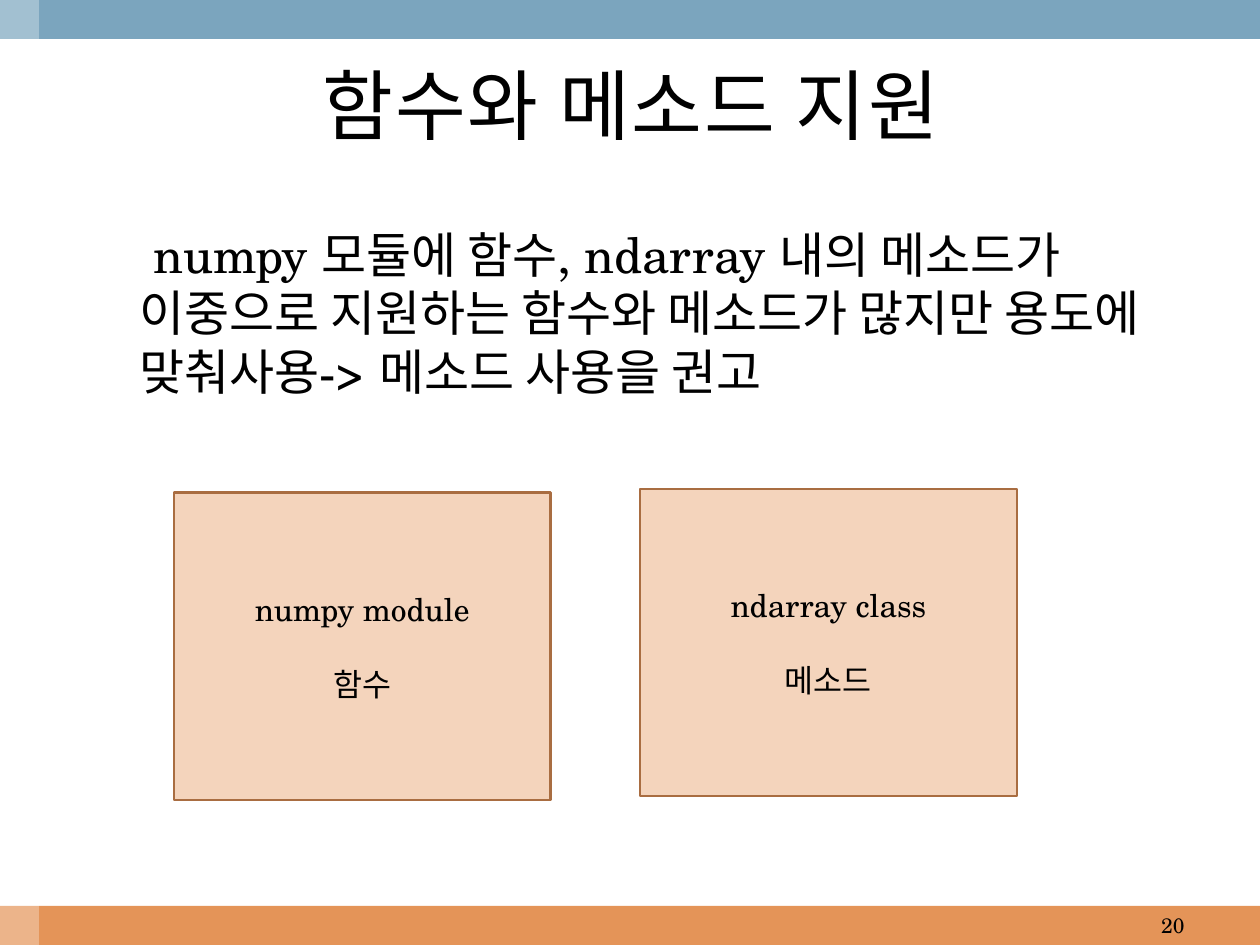
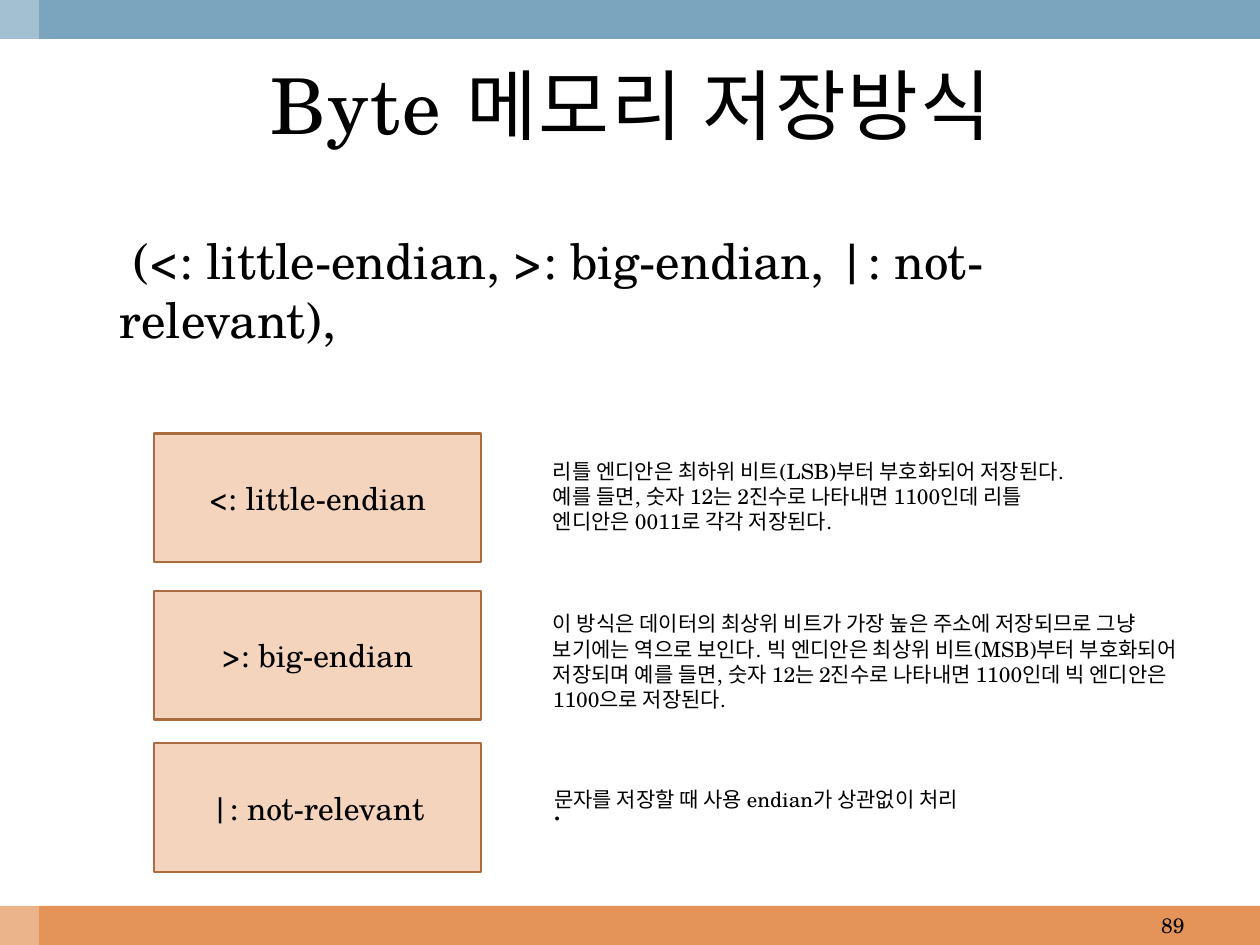
import pptx
import pptx.dml.color
import pptx.enum.shapes
import pptx.enum.text
import pptx.oxml.ns
import pptx.util
from lxml import etree
from pptx.util import Inches

FONT = "TeX Gyre Schola"
COLORS = {
    "text": "000000",
    "header": "7BA5BE",
    "footer": "E49458",
    "side": "FFFFFF",
    "box": "F4D4BC",
    "box_line": "A96D41",
}
SLIDE_W, SLIDE_H, BAND = 10, 7.5, 0.31
ALIGN = pptx.enum.text.PP_ALIGN
MIDDLE = pptx.enum.text.MSO_ANCHOR.MIDDLE


def rgb(name):
    return pptx.dml.color.RGBColor.from_string(COLORS[name])


def write(frame, lines, size, align=ALIGN.LEFT, gap=0):
    """Fill a text frame, one paragraph a line, with gap points between them."""
    frame.word_wrap = True
    for i, line in enumerate(lines):
        paragraph = frame.paragraphs[0] if i == 0 else frame.add_paragraph()
        paragraph.text = line
        paragraph.alignment = align
        if i:
            paragraph.space_before = pptx.util.Pt(gap)
        paragraph.font.name = FONT
        paragraph.font.size = pptx.util.Pt(size)
        paragraph.font.color.rgb = rgb("text")


def add_text(slide, box, text, size, align=ALIGN.LEFT, anchor=None):
    frame = slide.shapes.add_textbox(*map(Inches, box)).text_frame
    if anchor is not None:
        frame.vertical_anchor = anchor
    write(frame, [text], size, align)
    return frame.paragraphs[0]


def add_rect(slide, box, fill):
    rect = slide.shapes.add_shape(
        pptx.enum.shapes.MSO_SHAPE.RECTANGLE, *map(Inches, box))
    rect.shadow.inherit = False
    rect.fill.solid()
    rect.fill.fore_color.rgb = rgb(fill)
    rect.line.fill.background()
    return rect


def add_label_box(slide, box, *lines):
    rect = add_rect(slide, box, "box")
    rect.line.color.rgb = rgb("box_line")
    rect.line.width = pptx.util.Pt(1.25)
    rect.text_frame.vertical_anchor = MIDDLE
    write(rect.text_frame, lines, 18, ALIGN.CENTER, gap=21)


def add_base_slide(prs, title, number):
    """Add a slide with the shared bands, title and page number."""
    slide = prs.slides.add_slide(prs.slide_layouts[6])
    footer_top = SLIDE_H - BAND
    add_rect(slide, (0, footer_top, SLIDE_W, BAND), "footer")
    add_rect(slide, (0, 0, SLIDE_W, BAND), "header")
    side = add_rect(slide, (0, 0, BAND, SLIDE_H), "side")
    side_color = side.fill._xPr.find(".//" + pptx.oxml.ns.qn("a:srgbClr"))
    etree.SubElement(side_color, pptx.oxml.ns.qn("a:alpha"), val="30000")

    add_text(slide, (7.17, footer_top, 2.33, BAND), str(number), 12,
             ALIGN.RIGHT, MIDDLE)
    heading = add_text(slide, (0.33, BAND, 9.36, 1.03), title, 44,
                       ALIGN.CENTER, MIDDLE)
    heading.runs[0]._r.get_or_add_rPr().set("spc", "100")
    return slide


def add_lead(slide, box, text, margin):
    """Add the opening statement, its first line slightly indented."""
    properties = add_text(slide, box, text, 28)._p.get_or_add_pPr()
    properties.set("marL", str(Inches(margin)))
    properties.set("indent", str(Inches(0.11)))


def build_functions_slide(prs):
    slide = add_base_slide(prs, "함수와 메소드 지원", 20)
    add_lead(slide, (0.51, 1.73, 9, 1.47),
             "numpy 모듈에 함수, ndarray 내의 메소드가 이중으로 지원하는 "
             "함수와 메소드가 많지만 용도에 맞춰사용-> 메소드 사용을 권고", 0.5)
    add_label_box(slide, (1.38, 3.91, 2.99, 2.44), "numpy module", "함수")
    add_label_box(slide, (5.08, 3.88, 2.99, 2.44), "ndarray class", "메소드")


def build_byte_order_slide(prs):
    slide = add_base_slide(prs, "Byte 메모리 저장방식", 89)
    add_lead(slide, (0.5, 1.78, 9, 0.63),
             "(<: little-endian, >: big-endian, |: not-relevant),", 0.35)
    # label, box top, description, description box
    orders = [
        ("<: little-endian", 3.44,
         "리틀 엔디안은 최하위 비트(LSB)부터 부호화되어 저장된다. 예를 들면, "
         "숫자 12는 2진수로 나타내면 1100인데 리틀 엔디안은 0011로 각각 저장된다.",
         (4.29, 3.59, 4.41, 0.71)),
        (">: big-endian", 4.69,
         "이 방식은 데이터의 최상위 비트가 가장 높은 주소에 저장되므로 그냥 "
         "보기에는 역으로 보인다. 빅 엔디안은 최상위 비트(MSB)부터 부호화되어 "
         "저장되며 예를 들면, 숫자 12는 2진수로 나타내면 1100인데 빅 엔디안은 "
         "1100으로 저장된다.",
         (4.29, 4.8, 5.16, 0.91)),
        ("|: not-relevant", 5.9,
         "문자를 저장할 때 사용 endian가 상관없이 처리",
         (4.3, 6.19, 5.16, 0.3)),
    ]
    for label, top, description, description_box in orders:
        add_label_box(slide, (1.22, top, 2.6, 1.02), label)
        add_text(slide, description_box, description, 12)
    add_text(slide, (4.29, 6.21, 1.97, 0.4), ".", 18)


def main():
    prs = pptx.Presentation()
    prs.slide_width = Inches(SLIDE_W)
    prs.slide_height = Inches(SLIDE_H)
    build_functions_slide(prs)
    build_byte_order_slide(prs)
    prs.save("out.pptx")


if __name__ == "__main__":
    main()
